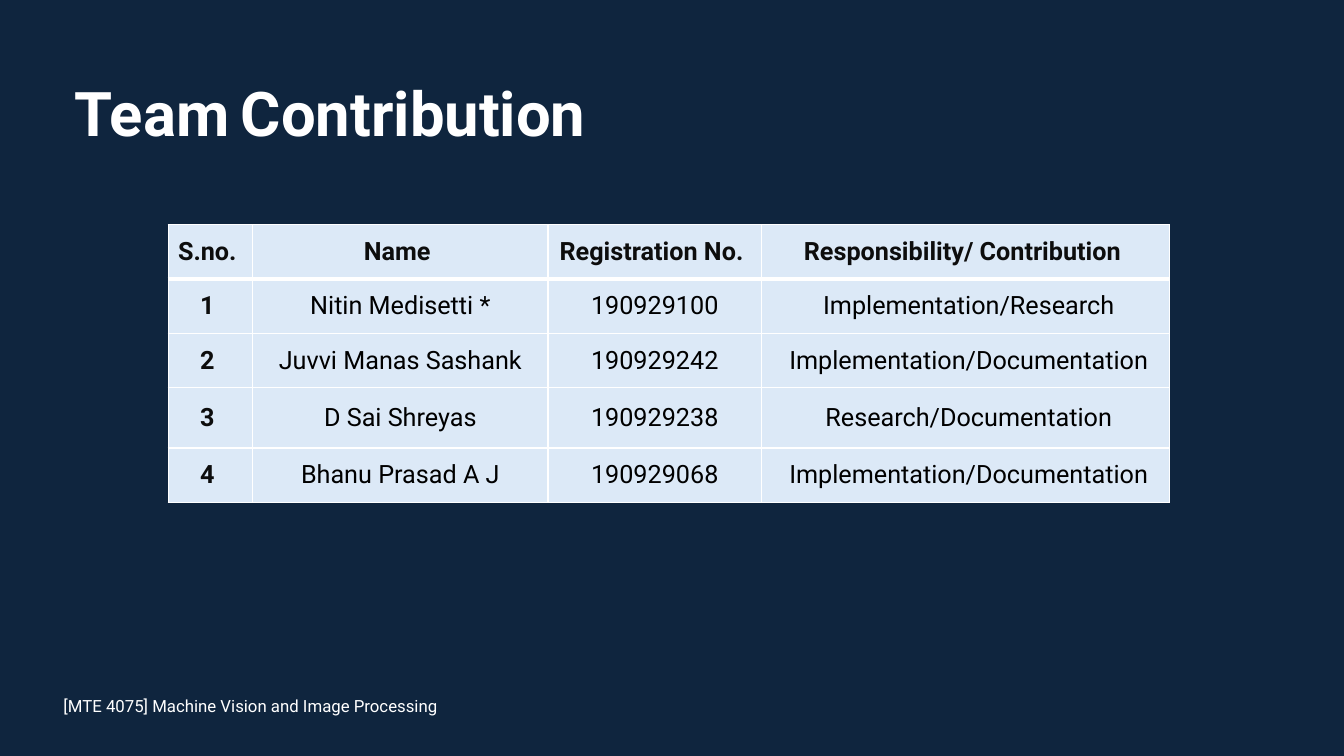
from dataclasses import dataclass

from lxml.etree import SubElement
from pptx import Presentation
from pptx.dml.color import RGBColor
from pptx.enum.text import MSO_ANCHOR, PP_ALIGN
from pptx.oxml.ns import qn
from pptx.util import Cm, Pt


@dataclass(frozen=True)
class Theme:
    font: str = "Roboto"
    background: str = "0F253E"
    light: str = "FFFFFF"
    cell: str = "DCE9F7"
    heading: str = "0D0D0D"
    body: str = "000000"
    title_size: int = 44
    title_gap_size: int = 32
    table_size: int = 18
    footer_size: int = 12
    rule: int = 1
    header_rule: int = 3


THEME = Theme()
COLUMNS = (2.13, 7.44, 5.38, 10.29)
ROWS = (1.37, 1.37, 1.37, 1.52, 1.37)
HEADER = ("S.no.", "Name", "Registration No.", "Responsibility/ Contribution")
MEMBERS = (
    ("1", "Nitin Medisetti *", "190929100", "Implementation/Research"),
    ("2", "Juvvi Manas Sashank", "190929242", "Implementation/Documentation"),
    ("3", "D Sai Shreyas", "190929238", "Research/Documentation"),
    ("4", "Bhanu Prasad A J", "190929068", "Implementation/Documentation"),
)


def add_run(p, text, size, color, bold=False):
    r = p.add_run()
    r.text = text
    r.font.name = THEME.font
    r.font.size = Pt(size)
    r.font.bold = bold
    r.font.color.rgb = RGBColor.from_string(color)


def add_text(slide, box):
    sp = slide.shapes.add_textbox(*map(Cm, box))
    tf = sp.text_frame
    tf.word_wrap = True
    tf.vertical_anchor = MSO_ANCHOR.MIDDLE
    return tf.paragraphs[0]


def add_title(slide, box):
    p = add_text(slide, box)
    p.line_spacing = 0.9
    add_run(p, "Team", THEME.title_size, THEME.light, True)
    add_run(p, " ", THEME.title_gap_size, THEME.light, True)
    add_run(p, "Contribution", THEME.title_size, THEME.light, True)


def add_footer(slide, box):
    p = add_text(slide, box)
    add_run(p, "[MTE 4075] Machine Vision and Image Processing",
            THEME.footer_size, THEME.light)


def set_borders(cell, top, bottom):
    tcPr = cell._tc.get_or_add_tcPr()
    widths = {"a:lnL": THEME.rule, "a:lnR": THEME.rule,
              "a:lnT": top, "a:lnB": bottom}
    for tag, width in widths.items():
        ln = SubElement(tcPr, qn(tag), w=str(Pt(width)))
        fill = SubElement(ln, qn("a:solidFill"))
        SubElement(fill, qn("a:srgbClr"), val=THEME.light)


def fill_cell(cell, text, row, column):
    strong = row == 0 or column == 0
    last_body = row > 0 and column == len(COLUMNS) - 1
    cell.margin_top = cell.margin_bottom = 0
    cell.margin_left = Cm(0.16 if last_body else 0)
    cell.margin_right = Cm(0.16 if strong else 0)
    cell.vertical_anchor = MSO_ANCHOR.MIDDLE
    set_borders(cell,
                THEME.header_rule if row == 1 else THEME.rule,
                THEME.header_rule if row == 0 else THEME.rule)
    cell.fill.solid()
    cell.fill.fore_color.rgb = RGBColor.from_string(THEME.cell)
    p = cell.text_frame.paragraphs[0]
    p.alignment = PP_ALIGN.CENTER
    add_run(p, text, THEME.table_size,
            THEME.heading if strong else THEME.body, strong)


def add_members(slide, left, top):
    table = slide.shapes.add_table(
        len(ROWS), len(COLUMNS), Cm(left), Cm(top),
        Cm(sum(COLUMNS)), Cm(sum(ROWS))).table
    for column, width in zip(table.columns, COLUMNS):
        column.width = Cm(width)
    for row, height in zip(table.rows, ROWS):
        row.height = Cm(height)
    for i, texts in enumerate((HEADER, *MEMBERS)):
        for j, text in enumerate(texts):
            fill_cell(table.cell(i, j), text, i, j)


def main():
    prs = Presentation()
    prs.slide_width, prs.slide_height = Cm(33.87), Cm(19.05)
    slide = prs.slides.add_slide(prs.slide_layouts[6])
    slide.background.fill.solid()
    slide.background.fill.fore_color.rgb = RGBColor.from_string(THEME.background)
    add_title(slide, (1.63, 1.4, 29.21, 3.1))
    add_footer(slide, (1.35, 17.27, 11.43, 1.02))
    add_members(slide, 4.24, 5.66)
    prs.save("out.pptx")


if __name__ == "__main__":
    main()
